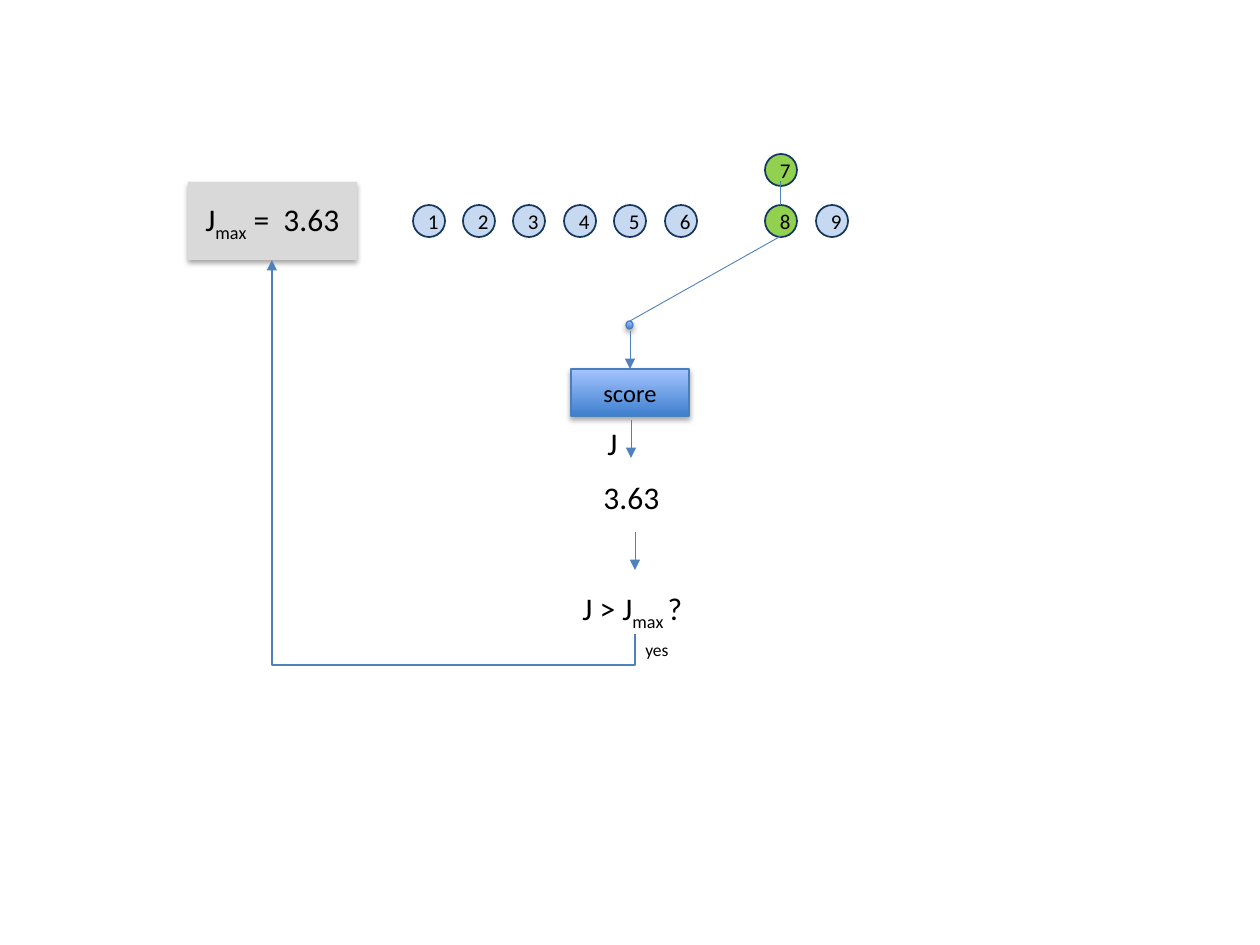
from dataclasses import dataclass

from lxml import etree
from pptx import Presentation
from pptx import util as u
from pptx.dml.color import RGBColor
from pptx.enum import shapes, text
from pptx.oxml.ns import qn

PX = 914400 / 126  # EMU per px
COLORS = {
    "black": "000000", "node": "C6D9F1", "chosen": "92D050", "rim": "17375E",
    "panel": "D9D9D9", "arrow": "4F81BD", "edge": "4B7EBC",
    "deep": "3F80CE", "pale": "A4C4FF",
}
FONT = "Calibri"
NODE, ROW_LEFT, ROW_TOP = 32, 413, 205
SUBSCRIPT = -25000


@dataclass
class Shape:
    kind: shapes.MSO_SHAPE
    left: int
    top: int
    width: int
    height: int
    fill: str = ""  # no name means the blue gradient
    line: str = ""
    weight: float = 1
    label: str = ""
    size: int = 12
    shadow: bool = False


@dataclass
class Label:
    left: int
    top: int
    width: int
    height: int
    pieces: tuple[str, ...]  # every second piece is a subscript
    size: int = 18


@dataclass
class Line:
    x1: float
    y1: float
    x2: float
    y2: float
    arrow: bool = True
    weight: float = 0.5
    kind: shapes.MSO_CONNECTOR = shapes.MSO_CONNECTOR.STRAIGHT


def emu(px: float) -> int:
    return round(px * PX)


def rgb(name: str) -> RGBColor:
    return RGBColor.from_string(COLORS[name])


def add_run(p, words: str, size: int):
    r = p.add_run()
    r.text = words
    for key, value in {"name": FONT, "size": u.Pt(size)}.items():
        setattr(r.font, key, value)
    r.font.color.rgb = rgb("black")
    return r


def add_shadow(sp) -> None:
    effects = sp.element.spPr.find(qn("a:effectLst"))
    outer = etree.SubElement(effects, qn("a:outerShdw"), blurRad="40000",
                             dist="23000", dir="5400000", rotWithShape="0")
    color = etree.SubElement(outer, qn("a:srgbClr"), val=COLORS["black"])
    etree.SubElement(color, qn("a:alpha"), val="35000")


def draw_shape(s, d: Shape) -> None:
    sp = s.shapes.add_shape(d.kind, *map(emu, (d.left, d.top, d.width, d.height)))
    if d.fill:
        sp.fill.solid()
        sp.fill.fore_color.rgb = rgb(d.fill)
    else:
        sp.fill.gradient()
        sp.fill.gradient_angle = 90
        for stop, name in zip(sp.fill.gradient_stops, ("deep", "pale")):
            stop.color.rgb = rgb(name)
    if d.line:
        sp.line.color.rgb = rgb(d.line)
        sp.line.width = u.Pt(d.weight)
    else:
        sp.line.fill.background()
    sp.shadow.inherit = False
    if d.shadow:
        add_shadow(sp)
    if d.label:
        tf = sp.text_frame
        tf.vertical_anchor = text.MSO_ANCHOR.MIDDLE
        p = tf.paragraphs[0]
        p.alignment = text.PP_ALIGN.CENTER
        add_run(p, d.label, d.size)


def draw_label(s, d: Label) -> None:
    tf = s.shapes.add_textbox(*map(emu, (d.left, d.top, d.width, d.height))).text_frame
    settings = {"word_wrap": False, "auto_size": text.MSO_AUTO_SIZE.SHAPE_TO_FIT_TEXT}
    for key, value in settings.items():
        setattr(tf, key, value)
    for i, words in enumerate(d.pieces):
        r = add_run(tf.paragraphs[0], words, d.size)
        if i % 2:
            r.font._element.set("baseline", str(SUBSCRIPT))


def draw_line(s, d: Line):
    c = s.shapes.add_connector(d.kind, *map(emu, (d.x1, d.y1, d.x2, d.y2)))
    c.line.color.rgb = rgb("arrow")
    c.line.width = u.Pt(d.weight)
    if d.arrow:
        etree.SubElement(c.element.spPr.find(qn("a:ln")), qn("a:tailEnd"), type="triangle")
    etree.SubElement(c.element.spPr, qn("a:effectLst"))
    return c


def draw_feedback(s, x1: int, y1: int, x2: int, y2: int, drop: int) -> None:
    """Elbow that leaves downwards, runs left and climbs: a quarter-turned connector."""
    cx, cy = (x1 + x2) / 2, (y1 + y2) / 2
    half_w, half_h = (y1 - y2) / 2, (x1 - x2) / 2
    c = draw_line(s, Line(cx + half_w, cy - half_h, cx - half_w, cy + half_h,
                          weight=1, kind=shapes.MSO_CONNECTOR.ELBOW))
    c.element.spPr.find(qn("a:xfrm")).set("rot", "5400000")
    geometry = c.element.spPr.find(qn("a:prstGeom"))
    guides = geometry.find(qn("a:avLst"))
    bend = round(-drop / (y1 - y2) * 100000)
    etree.SubElement(guides, qn("a:gd"), name="adj1", fmla=f"val {bend}")


def node(number: int, left: int, top: int) -> Shape:
    fill = "chosen" if number in (7, 8) else "node"
    return Shape(shapes.MSO_SHAPE.OVAL, left, top, NODE, NODE, fill, "rim", label=str(number))


def main() -> None:
    prs = Presentation()
    prs.slide_width, prs.slide_height = u.Inches(10), u.Inches(7.5)
    s = prs.slides.add_slide(prs.slide_layouts[6])

    # Row of nodes; the slot of 7 stays empty because it is lifted above 8
    for slot, number in enumerate((1, 2, 3, 4, 5, 6, None, 8, 9)):
        if number:
            draw_shape(s, node(number, ROW_LEFT + slot * 252 // 5, ROW_TOP))
    draw_shape(s, node(7, 765, 154))

    # Best score panel, junction dot and score step
    rect, oval = shapes.MSO_SHAPE.RECTANGLE, shapes.MSO_SHAPE.OVAL
    for d in (
        Shape(rect, 188, 182, 169, 78, "panel", shadow=True),
        Shape(oval, 626, 321, 7, 8, line="edge", weight=0.75, shadow=True),
        Shape(rect, 571, 369, 118, 47, line="edge", weight=0.75,
              label="score", size=14, shadow=True),
    ):
        draw_shape(s, d)

    # Values and test
    for d in (
        Label(193, 194, 166, 50, ("J", "max", " =  3.63")),
        Label(595, 418, 35, 50, ("J",)),
        Label(591, 472, 82, 50, ("3.63",)),
        Label(570, 583, 132, 50, ("J > J", "max ", "?")),
        Label(633, 633, 49, 34, ("yes",), 10),
    ):
        draw_label(s, d)

    # Flow from the chosen nodes to the test
    for d in (
        Line(780, 205, 780, 181, arrow=False),
        Line(781, 236, 630, 321, arrow=False),
        Line(630, 331, 630, 369),
        Line(631, 420, 631, 458),
        Line(635, 532, 635, 570),
    ):
        draw_line(s, d)

    # Feedback to the best score
    draw_feedback(s, 635, 634, 272, 260, drop=31)

    prs.save("out.pptx")


if __name__ == "__main__":
    main()
